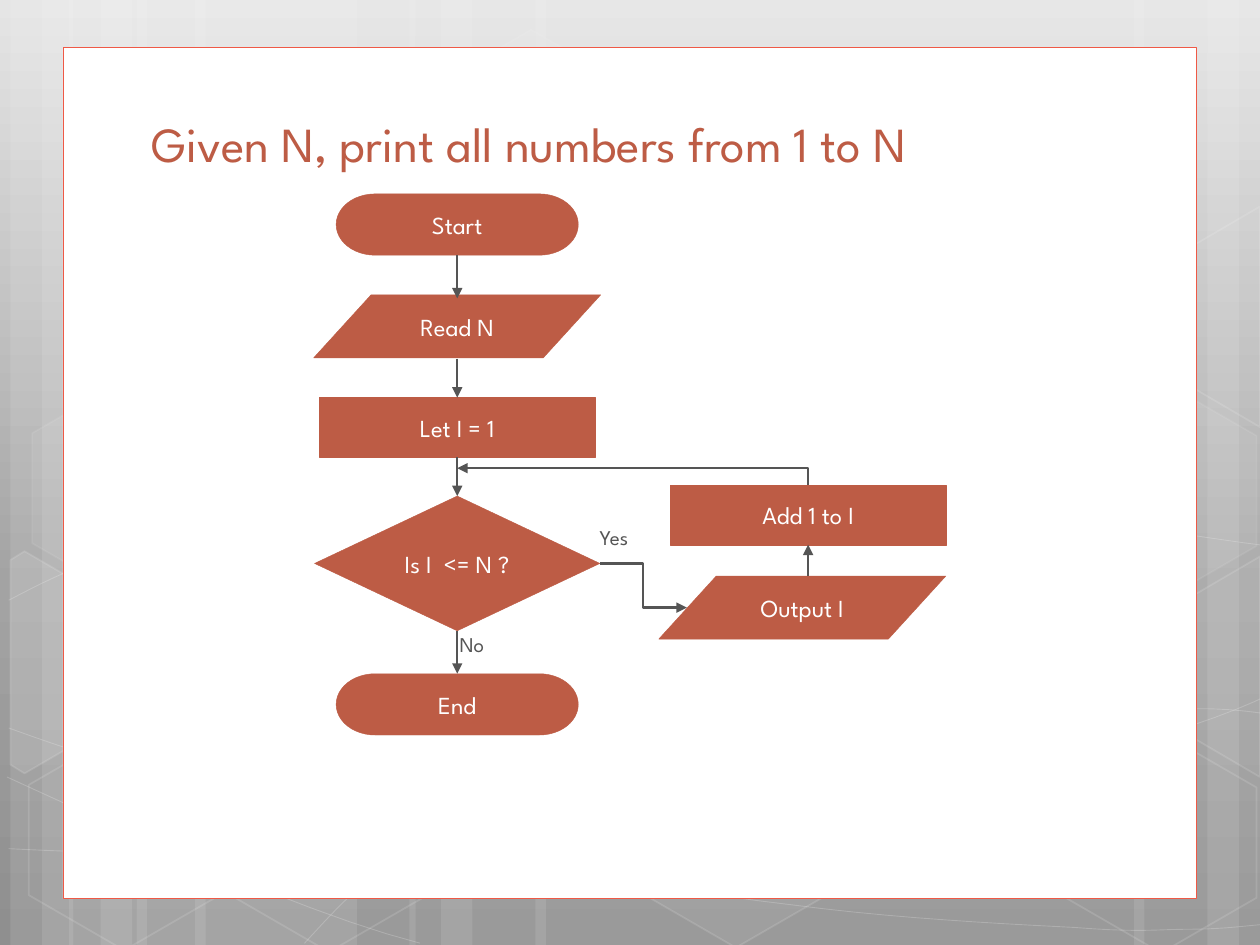
from copy import deepcopy
from math import cos, radians, sin

from lxml import etree
from pptx import Presentation
from pptx.dml.color import RGBColor
from pptx.enum.shapes import MSO_CONNECTOR, MSO_SHAPE
from pptx.enum.text import MSO_ANCHOR, PP_ALIGN
from pptx.oxml.ns import qn
from pptx.util import Pt

RECTANGLE = MSO_SHAPE.RECTANGLE
TERMINATOR = MSO_SHAPE.FLOWCHART_TERMINATOR
DATA = MSO_SHAPE.FLOWCHART_DATA
PROCESS = MSO_SHAPE.FLOWCHART_PROCESS
DECISION = MSO_SHAPE.FLOWCHART_DECISION
STRAIGHT, ELBOW = MSO_CONNECTOR.STRAIGHT, MSO_CONNECTOR.ELBOW
TOP, BOTTOM = 0, 2

WHITE = RGBColor(0xFF, 0xFF, 0xFF)
BRICK = RGBColor(0xBD, 0x5C, 0x45)
CORAL = RGBColor(0xEF, 0x59, 0x46)
GRAY = RGBColor(0x55, 0x55, 0x55)
BACKDROP = [
    (0, RGBColor(0xE5, 0xE5, 0xE5)),
    (0.62, RGBColor(0xA3, 0xA3, 0xA3)),
    (1, RGBColor(0x8F, 0x8F, 0x8F)),
]
FONT = "League Spartan"
INSETS = {"margin_left": Pt(3.6), "margin_right": Pt(3.6),
          "margin_top": Pt(3.6), "margin_bottom": Pt(3.6)}
TITLE_FRAME = {**INSETS, "vertical_anchor": MSO_ANCHOR.BOTTOM, "word_wrap": True}
STEP_FRAME = {**INSETS, "vertical_anchor": MSO_ANCHOR.MIDDLE, "word_wrap": False}
LABEL_FRAME = {**INSETS, "vertical_anchor": MSO_ANCHOR.TOP, "word_wrap": True}


def paint(shape, fill=None, fill_alpha=100, line=None, width=1, line_alpha=100):
    shape.shadow.inherit = False
    if fill is None:
        shape.fill.background()
    else:
        shape.fill.solid()
        shape.fill.fore_color.rgb = fill
    if line is None:
        shape.line.fill.background()
    else:
        shape.line.color.rgb = line
        shape.line.width = Pt(width)
    for part, alpha in (("a:solidFill", fill_alpha), ("a:ln/a:solidFill", line_alpha)):
        for color in shape._element.spPr.xpath(part + "/a:srgbClr"):
            if alpha < 100:
                etree.SubElement(color, qn("a:alpha"), val=str(alpha * 1000))


def draw_outline(points, close):
    first, *rest = [(Pt(x), Pt(y)) for x, y in points]
    builder = slide.shapes.build_freeform(*first)
    builder.add_line_segments(rest, close=close)
    return builder.convert_to_shape()


prs = Presentation()
prs.slide_width, prs.slide_height = Pt(720), Pt(540)
slide = prs.slides.add_slide(prs.slide_layouts[5])

backdrop = slide.background.fill
backdrop.gradient()
backdrop.gradient_angle = 270
last_stop = backdrop.gradient_stops[1]._gs
last_stop.addprevious(deepcopy(last_stop))
for stop, (position, color) in zip(backdrop.gradient_stops, BACKDROP):
    stop.position = position
    stop.color.rgb = color

bands = [(78, 126), (6, 36), (24, 60), (111.5, 126), (39.5, 36), (57.5, 60),
         (528, 126), (690, 36), (648, 60), (306, 222), (234, 36), (252, 60)]
for left, width in bands:
    band = slide.shapes.add_shape(RECTANGLE, Pt(left), 0, Pt(width), Pt(540))
    paint(band, WHITE, 10)

waves = [
    [(5, 485), (44, 487), (83, 488), (137, 488), (191, 487), (258, 486), (330, 479),
     (402, 472), (504, 458), (570, 444), (636, 431), (703, 409), (725, 397)],
    [(5, 343), (26, 332), (47, 321), (87, 310), (128, 300), (186, 284), (250, 279),
     (314, 273), (392, 273), (471, 279), (550, 284), (682, 307), (725, 312)],
    [(4, 444), (91, 484), (178, 523), (240, 539)],
    [(5, 416), (27, 424), (50, 432), (92, 444), (134, 454), (197, 472), (257, 485),
     (317, 497), (392, 510), (452, 517), (512, 525), (576, 528), (614, 530),
     (652, 533), (662, 531), (680, 531), (699, 531), (712, 529), (725, 528)],
    [(174, 539), (187, 525), (200, 510), (217, 498), (235, 485), (259, 470), (279, 460),
     (300, 450), (312, 446), (338, 438), (364, 431), (413, 421), (438, 416),
     (464, 412), (467, 411), (490, 410), (512, 407), (547, 405), (572, 405),
     (597, 404), (638, 405), (638, 405), (654, 405), (670, 405), (686, 405),
     (699, 405), (711, 406), (724, 408)],
]
STEPS = 10
for controls in waves:
    curve = [controls[0]]
    for start in range(0, len(controls) - 1, 3):
        a, b, c, d = controls[start:start + 4]
        for step in range(1, STEPS + 1):
            t = step / STEPS
            weights = ((1 - t) ** 3, 3 * t * (1 - t) ** 2, 3 * t ** 2 * (1 - t), t ** 3)
            curve.append([sum(w * p[axis] for w, p in zip(weights, (a, b, c, d)))
                          for axis in (0, 1)])
    paint(draw_outline(curve, False), line=WHITE, width=0.5, line_alpha=20)

RADIUS = 63
hexagons = [
    (303.5, 80, 4, 8), (420.5, 478.5, 6, 12), (71, 480, 0, 12), (73, 279, 7, 8),
    (188, 481, 0, 12), (605, 381, 10, 12), (663.5, 481.5, 0, 12), (663.5, 280.5, 7, 8),
]
cells = [([(x + RADIUS * sin(radians(angle)), y - RADIUS * cos(radians(angle)))
           for angle in range(0, 360, 60)], fill_alpha, line_alpha)
         for x, y, fill_alpha, line_alpha in hexagons]
cells += [
    ([(6, 320), (14, 315), (69, 347), (69, 410), (14, 442), (6, 437)], 10, 12),
    ([(667, 349), (720, 318), (720, 444), (667, 413)], 4, 12),
    ([(667, 149), (720, 118), (720, 244), (667, 213)], 0, 12),
]
for corners, fill_alpha, line_alpha in cells:
    paint(draw_outline(corners, True), WHITE if fill_alpha else None, fill_alpha,
          WHITE, 1, line_alpha)

panel = slide.shapes.add_shape(RECTANGLE, Pt(36), Pt(27), Pt(648), Pt(486.5))
paint(panel, WHITE, line=CORAL, width=0.5)

title = slide.shapes.title
slide.shapes._spTree.append(title._element)
title.left, title.top, title.width, title.height = Pt(82.8), Pt(57), Pt(565), Pt(45.2)
title.text_frame.text = "Given N, print all numbers from 1 to N"
texts = [(title, TITLE_FRAME, PP_ALIGN.LEFT, 28, BRICK)]

MAIN_X, LOOP_X = 261.3, 461.8
sizes = {TERMINATOR: (138.4, 35), DATA: (164, 36), PROCESS: (157.7, 34), DECISION: (163, 77)}
flow = [
    ("Start", TERMINATOR, MAIN_X, 128.3),
    ("Read N", DATA, MAIN_X, 186.5),
    ("Let I = 1", PROCESS, MAIN_X, 244.2),
    ("Is I  <= N ?", DECISION, MAIN_X, 322),
    ("End", TERMINATOR, MAIN_X, 402.5),
    ("Add 1 to I", PROCESS, LOOP_X, 294.3),
    ("Output I", DATA, 458.5, 347.2),
]
steps = {}
for caption, kind, x, y in flow:
    width, height = sizes[kind]
    step = slide.shapes.add_shape(kind, Pt(x - width / 2), Pt(y - height / 2),
                                  Pt(width), Pt(height))
    paint(step, BRICK, line=BRICK, width=0.25)
    step.text_frame.text = caption
    steps[caption] = step
    texts.append((step, STEP_FRAME, PP_ALIGN.CENTER, 14, WHITE))

links = [
    (STRAIGHT, MAIN_X, 145.8, MAIN_X, 170.5, "Start", None),
    (STRAIGHT, MAIN_X, 205, MAIN_X, 227.2, None, "Let I = 1"),
    (STRAIGHT, MAIN_X, 261.2, MAIN_X, 283.5, "Let I = 1", "Is I  <= N ?"),
    (STRAIGHT, MAIN_X, 360.5, MAIN_X, 385, "Is I  <= N ?", "End"),
    (STRAIGHT, LOOP_X, 329.2, LOOP_X, 311.3, None, "Add 1 to I"),
    (ELBOW, 342.8, 322, 392.5, 347.2, None, None),
]
arrows = []
for kind, x1, y1, x2, y2, source, target in links:
    arrow = slide.shapes.add_connector(kind, Pt(x1), Pt(y1), Pt(x2), Pt(y2))
    if source:
        arrow.begin_connect(steps[source], BOTTOM)
    if target:
        arrow.end_connect(steps[target], BOTTOM if y2 < y1 else TOP)
    arrow.line.color.rgb = GRAY
    arrow.line.width = Pt(1.25)
    etree.SubElement(arrow._element.spPr, qn("a:effectLst"))
    arrows.append(arrow)

loop_back = draw_outline([(LOOP_X, 277.3), (LOOP_X, 267.6), (MAIN_X, 267.6)], False)
paint(loop_back, line=GRAY, width=1.25)
for arrow in [*arrows, loop_back]:
    etree.SubElement(arrow._element.spPr.find(qn("a:ln")), qn("a:tailEnd"), type="triangle")

for answer, left, top in (("Yes", 339, 296), ("No", 259, 357.3)):
    label = slide.shapes.add_textbox(Pt(left), Pt(top), Pt(37.4), Pt(22))
    label.text_frame.text = answer
    texts.append((label, LABEL_FRAME, PP_ALIGN.LEFT, 12, GRAY))

for shape, frame_format, alignment, size, color in texts:
    for attribute, value in frame_format.items():
        setattr(shape.text_frame, attribute, value)
    paragraph = shape.text_frame.paragraphs[0]
    paragraph.alignment = alignment
    font = paragraph.runs[0].font
    for attribute, value in {"name": FONT, "size": Pt(size)}.items():
        setattr(font, attribute, value)
    font.color.rgb = color

prs.save("out.pptx")
